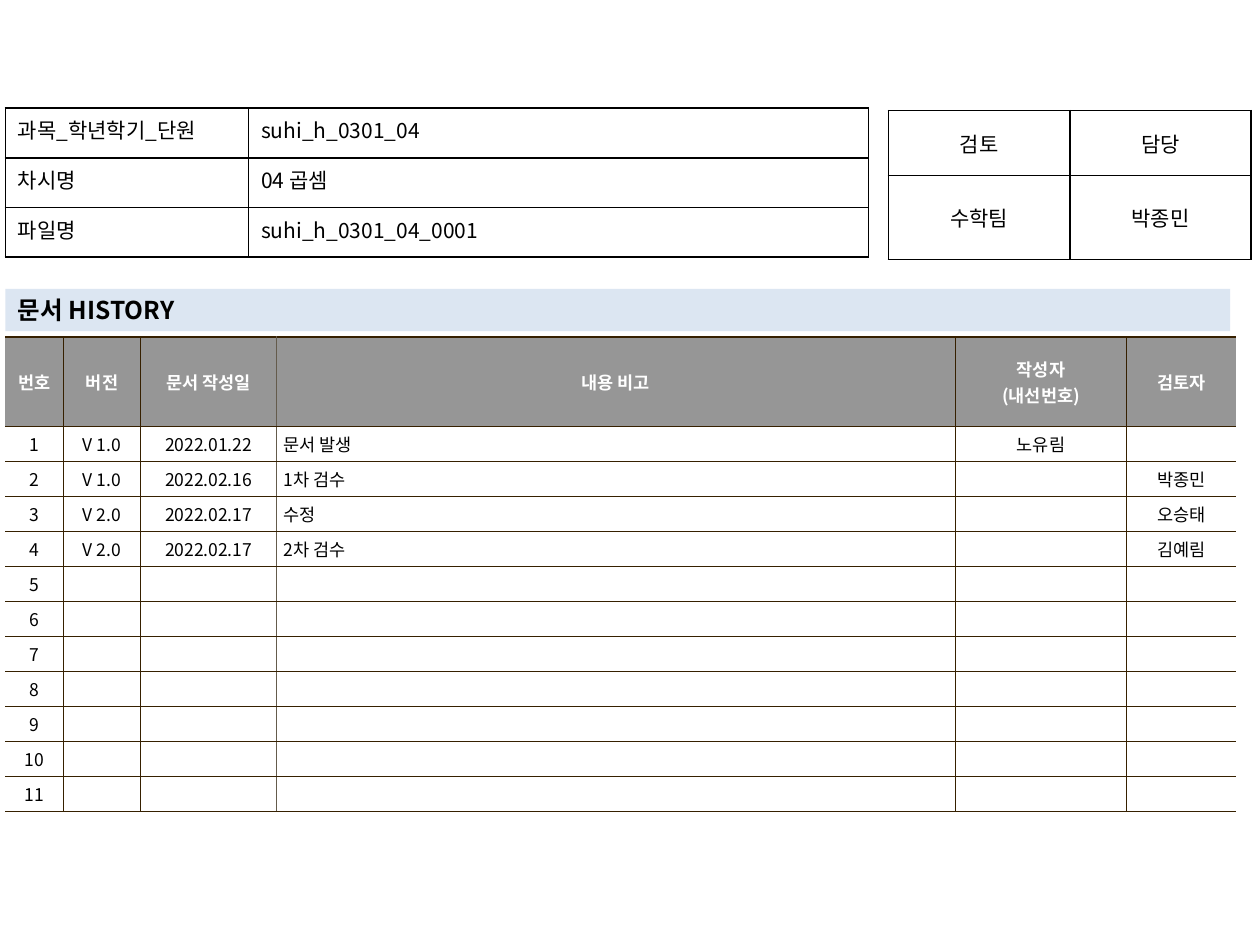
from lxml import etree
from pptx import Presentation
from pptx.dml.color import RGBColor
from pptx.enum import text as t
from pptx.oxml import ns
from pptx.util import Pt

FONT = "Noto Sans CJK KR"
BLACK = RGBColor(0, 0, 0)
WHITE = RGBColor(255, 255, 255)
GRAY = RGBColor(0x96, 0x96, 0x96)
BLUE = RGBColor(0xDC, 0xE6, 0xF2)
BROWN = RGBColor(0x36, 0x20, 0x00)
TAUPE = RGBColor(0x64, 0x5B, 0x4C)
PLAIN = "{2D5ABB26-0587-4C30-8999-92F81FD0307C}"  # no style, no grid
LEFT, MID, JUST = t.PP_ALIGN.LEFT, t.PP_ALIGN.CENTER, t.PP_ALIGN.JUSTIFY

FILE = [
    ["과목_학년학기_단원", "suhi_h_0301_04"],
    ["차시명", "04 곱셈"],
    ["파일명", "suhi_h_0301_04_0001"],
]
REVIEW = [["검토", "담당"], ["수학팀", "박종민"]]
HEAD = ["번호", "버전", "문서 작성일", "내용 비고", "작성자\n(내선번호)", "검토자"]
LOG = [
    ["V 1.0", "2022.01.22", "문서 발생", "노유림", ""],
    ["V 1.0", "2022.02.16", "1차 검수", "", "박종민"],
    ["V 2.0", "2022.02.17", "수정", "", "오승태"],
    ["V 2.0", "2022.02.17", "2차 검수", "", "김예림"],
]
COUNT = 11


def set_text(frame, words, size, color, align, bold=False):
    frame.text = words
    for para in frame.paragraphs:
        para.alignment = align
        for run in para.runs:
            font = run.font
            font.name, font.size, font.bold = FONT, Pt(size), bold
            font.color.rgb = color
            east = etree.SubElement(run._r.get_or_add_rPr(), ns.qn("a:ea"))
            east.set("typeface", FONT)
        if not para.runs:
            # An empty cell keeps the small text height
            end = etree.SubElement(para._p, ns.qn("a:endParaRPr"))
            end.set("sz", str(size * 100))


def set_edge(cell, side, color):
    line = etree.SubElement(cell._tc.get_or_add_tcPr(), ns.qn("a:ln" + side))
    line.set("w", str(Pt(1)))
    fill = etree.SubElement(line, ns.qn("a:solidFill"))
    etree.SubElement(fill, ns.qn("a:srgbClr")).set("val", str(color))


def add_grid(slide, left, top, cols, rows, edges):
    """Add a plain table; edges holds one colour, or None, per column line."""
    frame = slide.shapes.add_table(len(rows), len(cols), Pt(left), Pt(top),
                                   Pt(sum(cols)), Pt(sum(rows)))
    grid = frame.table
    grid.first_row = grid.horz_banding = False
    grid._tbl.tblPr.find(ns.qn("a:tableStyleId")).text = PLAIN
    for col, wide in zip(grid.columns, cols):
        col.width = Pt(wide)
    for row, high in zip(grid.rows, rows):
        row.height = Pt(high)
        for i, cell in enumerate(row.cells):
            for side, color in (("L", edges[i]), ("R", edges[i + 1]),
                                ("T", edges[1]), ("B", edges[1])):
                if color is not None:
                    set_edge(cell, side, color)
    return grid


def add_form(slide, left, top, cols, rows, data, aligns, anchor):
    grid = add_grid(slide, left, top, cols, rows, [BLACK] * (len(cols) + 1))
    for row, words in zip(grid.rows, data):
        for cell, word, align in zip(row.cells, words, aligns):
            cell.fill.background()
            cell.vertical_anchor = anchor
            set_text(cell.text_frame, word, 12, BLACK, align)


def add_log(slide):
    cols = [33.2, 44.2, 77.6, 388, 97.8, 62.4]
    edges = [None, BROWN, BROWN, TAUPE, BROWN, BROWN, None]
    grid = add_grid(slide, 3, 192.6, cols, [51.2] + [18] * COUNT, edges)
    blank = [""] * (len(HEAD) - 1)
    data = [HEAD]
    for i in range(COUNT):
        data.append([str(i + 1)] + (LOG[i] if i < len(LOG) else blank))
    for r, (row, words) in enumerate(zip(grid.rows, data)):
        top = r == 0
        for c, (cell, word) in enumerate(zip(row.cells, words)):
            cell.fill.solid()
            cell.fill.fore_color.rgb = GRAY if top else WHITE
            cell.vertical_anchor = t.MSO_ANCHOR.MIDDLE
            cell.margin_left = cell.margin_right = Pt(4.2)
            cell.margin_top = cell.margin_bottom = Pt(2.8)
            align = LEFT if c == 3 and not top else MID
            set_text(cell.text_frame, word, 10, WHITE if top else BLACK,
                     align, top)


def set_title(slide):
    bar = slide.shapes.title
    bar.left, bar.top, bar.width, bar.height = Pt(3), Pt(165), Pt(700), Pt(24.2)
    bar.fill.solid()
    bar.fill.fore_color.rgb = BLUE
    frame = bar.text_frame
    frame.auto_size = t.MSO_AUTO_SIZE.NONE
    frame.vertical_anchor = t.MSO_ANCHOR.MIDDLE
    frame.word_wrap = True
    set_text(frame, "문서 HISTORY", 14, BLACK, LEFT, True)


def main():
    deck = Presentation()
    deck.slide_width, deck.slide_height = Pt(720), Pt(540)
    slide = deck.slides.add_slide(deck.slide_layouts[5])

    # Document history
    set_title(slide)
    add_log(slide)

    # Review and file details
    add_form(slide, 507.6, 63.2, [103.7] * 2, [37.2, 47.8], REVIEW,
             [MID, MID], t.MSO_ANCHOR.MIDDLE)
    add_form(slide, 3, 61.8, [139, 354.2], [28.4] * 3, FILE,
             [JUST, LEFT], t.MSO_ANCHOR.TOP)
    deck.save("out.pptx")


if __name__ == "__main__":
    main()
